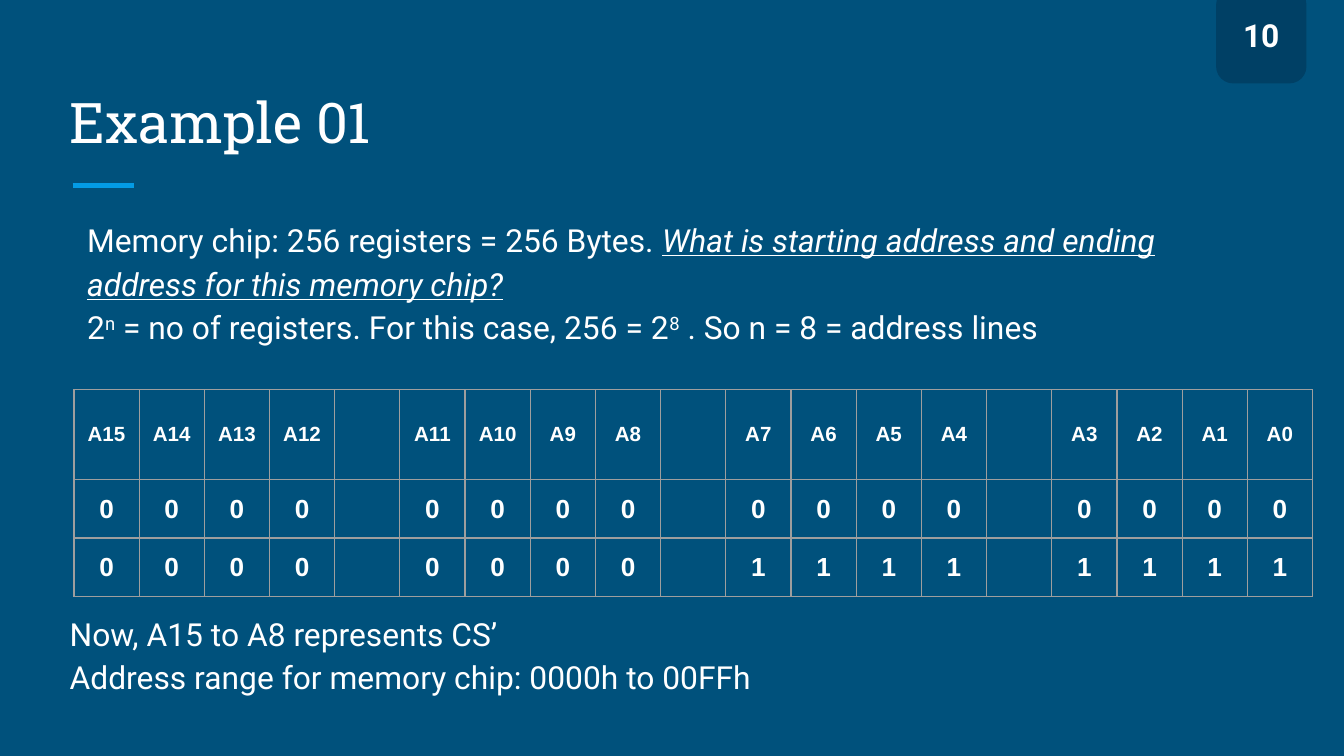
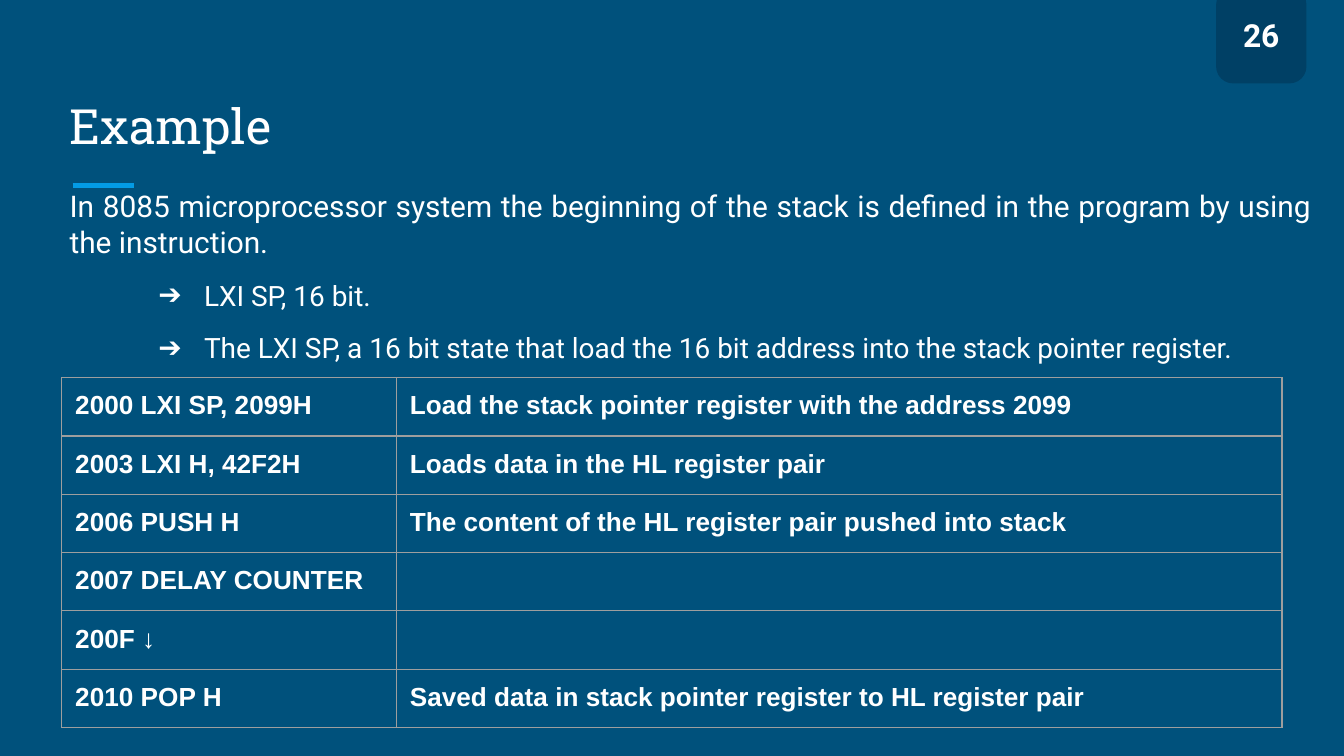
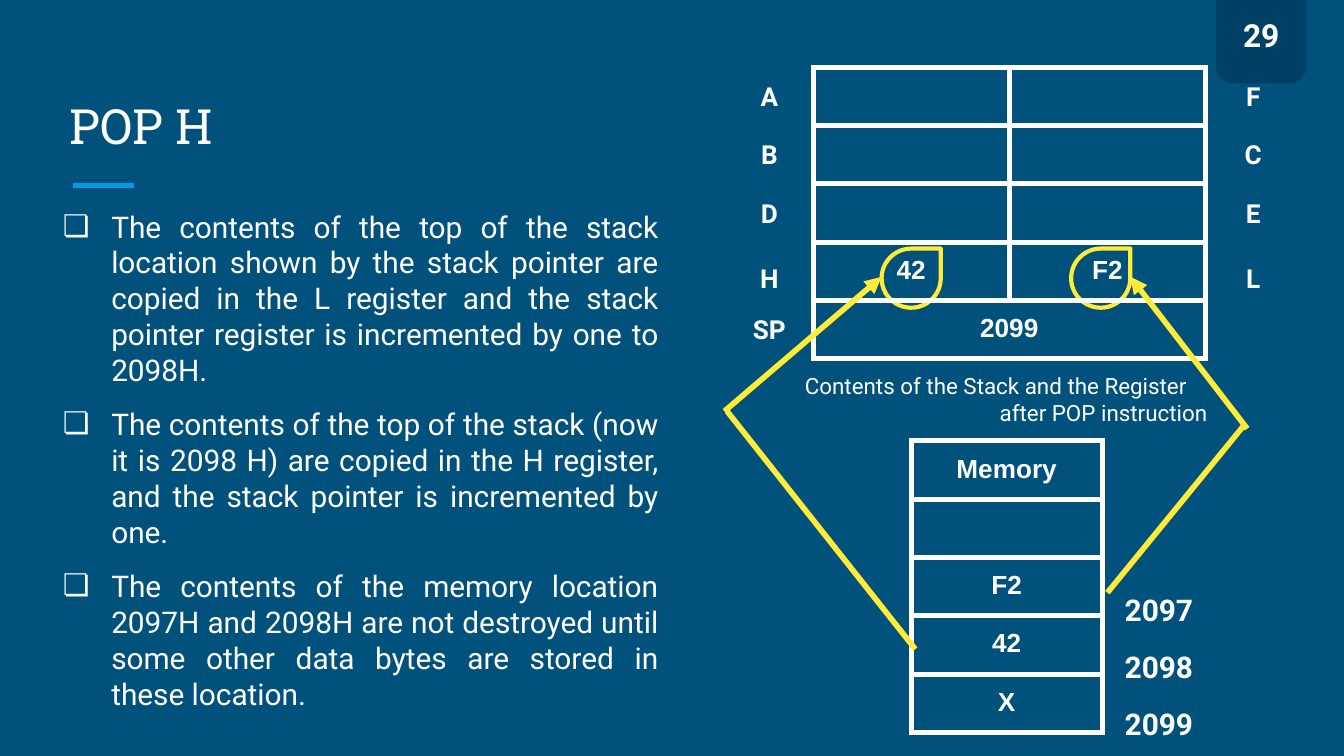
from dataclasses import dataclass
from itertools import product
from typing import Any, NamedTuple

from lxml.etree import SubElement
from pptx import Presentation
from pptx.dml.color import RGBColor
from pptx.enum.shapes import MSO_CONNECTOR, MSO_SHAPE
from pptx.enum.text import MSO_ANCHOR, MSO_AUTO_SIZE, PP_ALIGN
from pptx.oxml.ns import qn
from pptx.util import Inches, Pt

BLUE, DARK, SKY = "00517C", "004065", "039BE5"
WHITE, GRAY, YELLOW = "FFFFFF", "9E9E9E", "FFEB38"
BODY, HEAD, CELL = "Roboto", "Roboto Slab", "Arial"
LEFT, MID, FULL = PP_ALIGN.LEFT, PP_ALIGN.CENTER, PP_ALIGN.JUSTIFY


class Box(NamedTuple):
    x: float
    y: float
    w: float
    h: float


class Span(NamedTuple):
    text: str
    stress: bool = False
    raised: bool = False


class Arrow(NamedTuple):
    x1: float
    y1: float
    x2: float
    y2: float
    tip: bool = False


@dataclass
class Para:
    text: str | list[Span]
    size: float = 16
    font: str = BODY
    bold: bool = False
    align: Any = LEFT
    before: float = 0
    lines: float = 1
    bullet: str = ""
    left: float = 0
    hang: float = 0


@dataclass
class Grid:
    box: Box
    rows: list[list[str]]
    cols: list[float]
    tall: list[float]
    edge: str = GRAY
    width: float = 0.75
    align: Any = LEFT
    anchor: Any = MSO_ANCHOR.TOP
    top: float = 14


def color(code: str) -> RGBColor:
    return RGBColor.from_string(code)


def place(box: Box) -> list[int]:
    return [Inches(side) for side in box]


def write(line: Any, para: Para) -> None:
    line.alignment = para.align
    line.line_spacing = para.lines
    line.space_before = Pt(para.before)
    props = line._p.get_or_add_pPr()
    props.set("marL", str(Inches(para.left)))
    props.set("indent", str(Inches(-para.hang)))
    if para.bullet:
        tint = SubElement(props, qn("a:buClr"))
        SubElement(tint, qn("a:srgbClr"), val=WHITE)
        SubElement(props, qn("a:buFont"), typeface=para.font)
        SubElement(props, qn("a:buChar"), char=para.bullet)
    if isinstance(para.text, str):
        line.text = para.text
    else:
        for span in para.text:
            run = line.add_run()
            run.text = span.text
            if span.stress:
                run.font.italic = run.font.underline = True
            if span.raised:
                run._r.get_or_add_rPr().set("baseline", "30000")
    for run in line.runs:
        run.font.size = Pt(para.size)
        run.font.name = para.font
        run.font.bold = para.bold
        run.font.color.rgb = color(WHITE)
    if not line.runs:
        SubElement(line._p, qn("a:endParaRPr"), sz=str(int(para.size * 100)))


def inset(area: Any) -> None:
    area.margin_left = area.margin_right = Inches(0.1)
    area.margin_top = area.margin_bottom = Inches(0.1)


def add_text(slide: Any, box: Box, paras: list[Para], anchor: Any = MSO_ANCHOR.TOP,
             grow: bool = False) -> None:
    frame = slide.shapes.add_textbox(*place(box)).text_frame
    frame.word_wrap = True
    frame.vertical_anchor = anchor
    frame.auto_size = MSO_AUTO_SIZE.SHAPE_TO_FIT_TEXT if grow else MSO_AUTO_SIZE.NONE
    inset(frame)
    for i, para in enumerate(paras):
        write(frame.add_paragraph() if i else frame.paragraphs[0], para)


def add_shape(slide: Any, kind: Any, box: Box, fill: str, edge: str, width: float) -> None:
    shape = slide.shapes.add_shape(kind, *place(box))
    shape.shadow.inherit = False
    shape.fill.solid()
    shape.fill.fore_color.rgb = color(fill)
    shape.line.color.rgb = color(edge)
    shape.line.width = Pt(width)


def add_line(slide: Any, course: Arrow, tint: str) -> None:
    ends = [Inches(n) for n in course[:4]]
    line = slide.shapes.add_connector(MSO_CONNECTOR.STRAIGHT, *ends)
    line.line.color.rgb = color(tint)
    line.line.width = Pt(3)
    if course.tip:
        SubElement(line.line._get_or_add_ln(), qn("a:tailEnd"), type="triangle")
    SubElement(line._element.spPr, qn("a:effectLst"))


def add_edges(cell: Any, tint: str, width: float) -> None:
    props = cell._tc.get_or_add_tcPr()
    for i, side in enumerate(("lnL", "lnR", "lnT", "lnB")):
        edge = props.makeelement(qn(f"a:{side}"), {"w": str(Pt(width))})
        fill = SubElement(edge, qn("a:solidFill"))
        SubElement(fill, qn("a:srgbClr"), val=tint)
        props.insert(i, edge)


def add_grid(slide: Any, grid: Grid) -> Any:
    size = len(grid.tall), len(grid.cols)
    table = slide.shapes.add_table(*size, *place(grid.box)).table
    table.first_row = table.horz_banding = False
    for col, wide in zip(table.columns, grid.cols):
        col.width = Inches(wide)
    for row, tall in zip(table.rows, grid.tall):
        row.height = Inches(tall)
    for r, c in product(*map(range, size)):
        cell = table.cell(r, c)
        inset(cell)
        cell.vertical_anchor = grid.anchor
        cell.fill.background()
        add_edges(cell, grid.edge, grid.width)
        points = 14 if r else grid.top
        write(cell.text_frame.paragraphs[0],
              Para(grid.rows[r][c], points, CELL, True, grid.align))
    return table


def start(deck: Any, title: str, size: float = 26, wide: float = 9.23) -> Any:
    slide = deck.slides.add_slide(deck.slide_layouts[6])
    add_line(slide, Arrow(0.54, 1.38, 1, 1.38), SKY)
    add_text(slide, Box(0.42, 0.5, wide, 0.75), [Para(title, size, HEAD)], MSO_ANCHOR.BOTTOM)
    return slide


def add_badge(slide: Any, page: int) -> None:
    add_shape(slide, MSO_SHAPE.ROUNDED_RECTANGLE, Box(9.07, -0.07, 0.63, 0.67), DARK, DARK, 3)
    add_text(slide, Box(9.07, 0.02, 0.63, 0.49),
             [Para(str(page), 17, bold=True, align=MID)], grow=True)


def group(bits: list[str]) -> list[str]:
    cells: list[str] = []
    for i in range(0, len(bits), 4):
        cells += ([""] if i else []) + bits[i:i + 4]
    return cells


def draw_range(deck: Any) -> None:
    slide = start(deck, "Example 01", 30, 6.23)
    ask = [Span("Memory chip: 256 registers = 256 Bytes. "),
           Span("What is starting address and ending address for this memory chip?", stress=True)]
    power = [Span("2"), Span("n", raised=True),
             Span(" = no of registers. For this case, 256 = 2"),
             Span("8", raised=True), Span(" . So n = 8 = address lines")]
    add_text(slide, Box(0.55, 1.5, 8.81, 1.09),
             [Para(text, 17, lines=1.15) for text in (ask, power)])
    add_badge(slide, 10)
    names = [f"A{n}" for n in range(15, -1, -1)]
    rows = [group(names), group(["0"] * 16), group(["0"] * 8 + ["1"] * 8)]
    count = len(rows[0])
    add_grid(slide, Grid(Box(0.55, 2.9, 9.22, 1.53), rows, [9.22 / count] * count,
                         [0.67, 0.43, 0.43], align=MID, anchor=MSO_ANCHOR.MIDDLE, top=11))
    notes = ("Now, A15 to A8 represents CS’", "Address range for memory chip: 0000h to 00FFh")
    add_text(slide, Box(0.42, 4.43, 8.81, 0.92), [Para(note, 17, lines=1.15) for note in notes])


def draw_code(deck: Any) -> None:
    slide = start(deck, "Example")
    intro = ("In 8085 microprocessor system the beginning of the stack is defined "
             "in the program by using the instruction.")
    points = ("LXI SP, 16 bit.", "The LXI SP, a 16 bit state that load the 16 bit address "
              "into the stack pointer register.")
    add_text(slide, Box(0.42, 1.3, 9.44, 1.63), [Para(intro, align=FULL)] + [
        Para(point, 15, align=FULL, before=10, bullet="➔", left=1, hang=0.34)
        for point in points])
    add_badge(slide, 26)
    rows = [
        ["2000 LXI SP, 2099H", "Load the stack pointer register with the address 2099"],
        ["2003 LXI H, 42F2H", "Loads data in the HL register pair"],
        ["2006 PUSH H", "The content of the HL register pair pushed into stack"],
        ["2007 DELAY COUNTER", ""],
        ["200F ↓", ""],
        ["2010 POP H", "Saved data in stack pointer register to HL register pair"],
    ]
    add_grid(slide, Grid(Box(0.46, 2.81, 9.08, 2.6), rows, [2.49, 6.59], [2.6 / 6] * 6))


def draw_pop(deck: Any) -> None:
    slide = start(deck, "POP H")
    for x in (7.97, 6.56):
        add_shape(slide, MSO_SHAPE.TEAR, Box(x, 1.85, 0.44, 0.44), BLUE, YELLOW, 2.25)
    steps = (
        "The contents of the top of the stack location shown by the stack pointer are copied "
        "in the L register and the stack pointer register is incremented by one to 2098H.",
        "The contents of the top of the stack (now it is 2098 H) are copied in the H register, "
        "and the stack pointer is incremented by one.",
        "The contents of the memory location 2097H and 2098H are not destroyed until some other "
        "data bytes are stored in these location.",
    )
    add_text(slide, Box(0.23, 1.45, 4.77, 3.87), [
        Para(step, align=FULL, before=10 if i else 0, bullet="❏", left=0.5, hang=0.36)
        for i, step in enumerate(steps)])
    add_badge(slide, 29)
    tall = [2.17 / 5] * 5
    pairs = [["", ""]] * 3 + [["42", "F2"], ["2099", ""]]
    table = add_grid(slide, Grid(Box(6.05, 0.5, 2.92, 2.17), pairs, [1.46] * 2, tall,
                                 WHITE, 3, MID))
    table.cell(4, 0).merge(table.cell(4, 1))
    stack = [[text] for text in ("Memory", "", "F2", "42", "X")]
    add_grid(slide, Grid(Box(6.78, 3.28, 1.42, 2.17), stack, [1.42], tall, WHITE, 3, MID))
    add_text(slide, Box(8.27, 4.14, 1.32, 1.33),
             [Para(str(n), bold=True, lines=1.6) for n in range(2097, 2100)], grow=True)
    tops = (0.5, 0.93, 1.37, 1.85, 2.23)
    for x, names in ((5.41, ("A", "B", "D", "H", "SP")), (9.01, "FCEL")):
        for name, y in zip(names, tops):
            add_text(slide, Box(x, y, 0.63, 0.44),
                     [Para(name, 14, bold=True, align=MID)], grow=True)
    for course in (Arrow(9.28, 3.19, 8.41, 2.06, True), Arrow(8.24, 4.41, 9.26, 3.16),
                   Arrow(6.81, 4.83, 5.41, 3.06), Arrow(5.39, 3.06, 6.56, 2.06, True)):
        add_line(slide, course, YELLOW)
    add_text(slide, Box(5.89, 2.67, 3.6, 0.61),
             [Para("Contents of the Stack and the Register", 12),
              Para("after POP instruction", 12, left=1.45)], grow=True)


def main() -> None:
    deck = Presentation()
    deck.slide_width = Inches(10)
    deck.slide_height = deck.slide_width * 9 // 16
    fill = deck.slide_master.background.fill
    fill.solid()
    fill.fore_color.rgb = color(BLUE)
    for draw in (draw_range, draw_code, draw_pop):
        draw(deck)
    deck.save("out.pptx")


if __name__ == "__main__":
    main()
